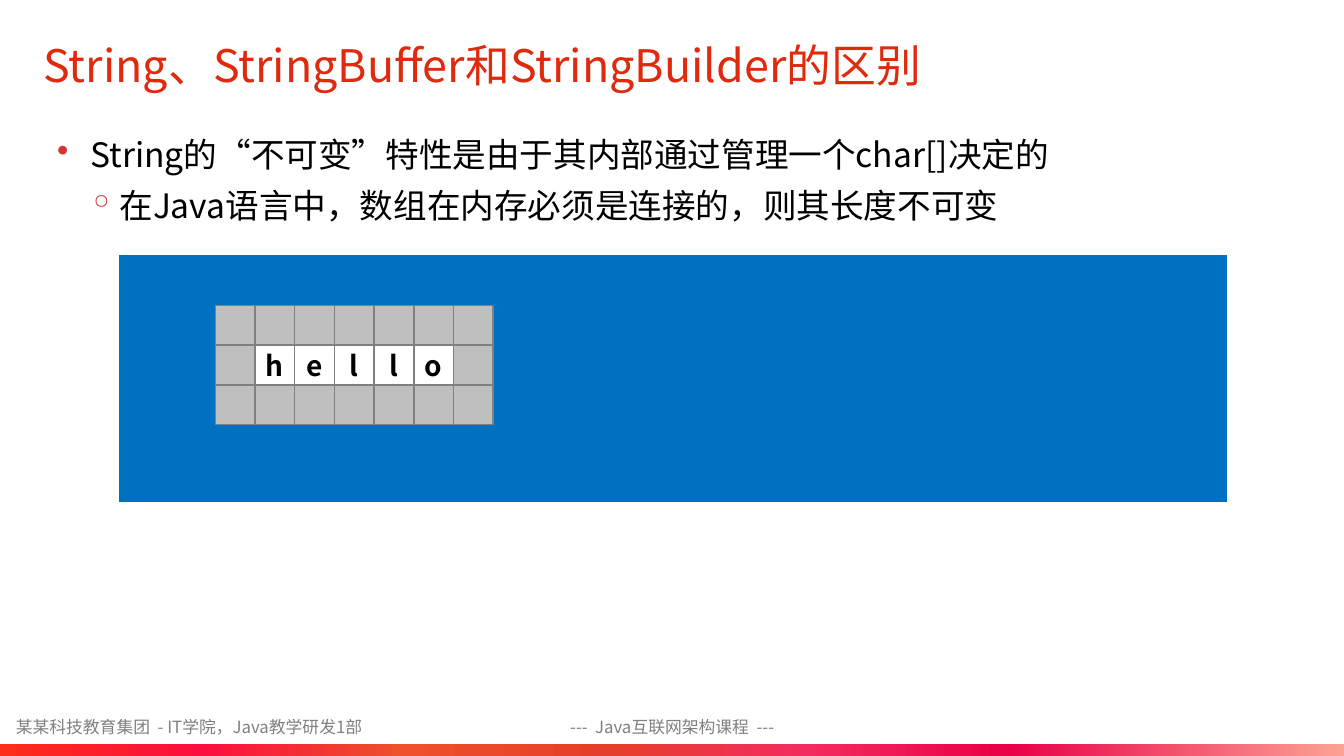
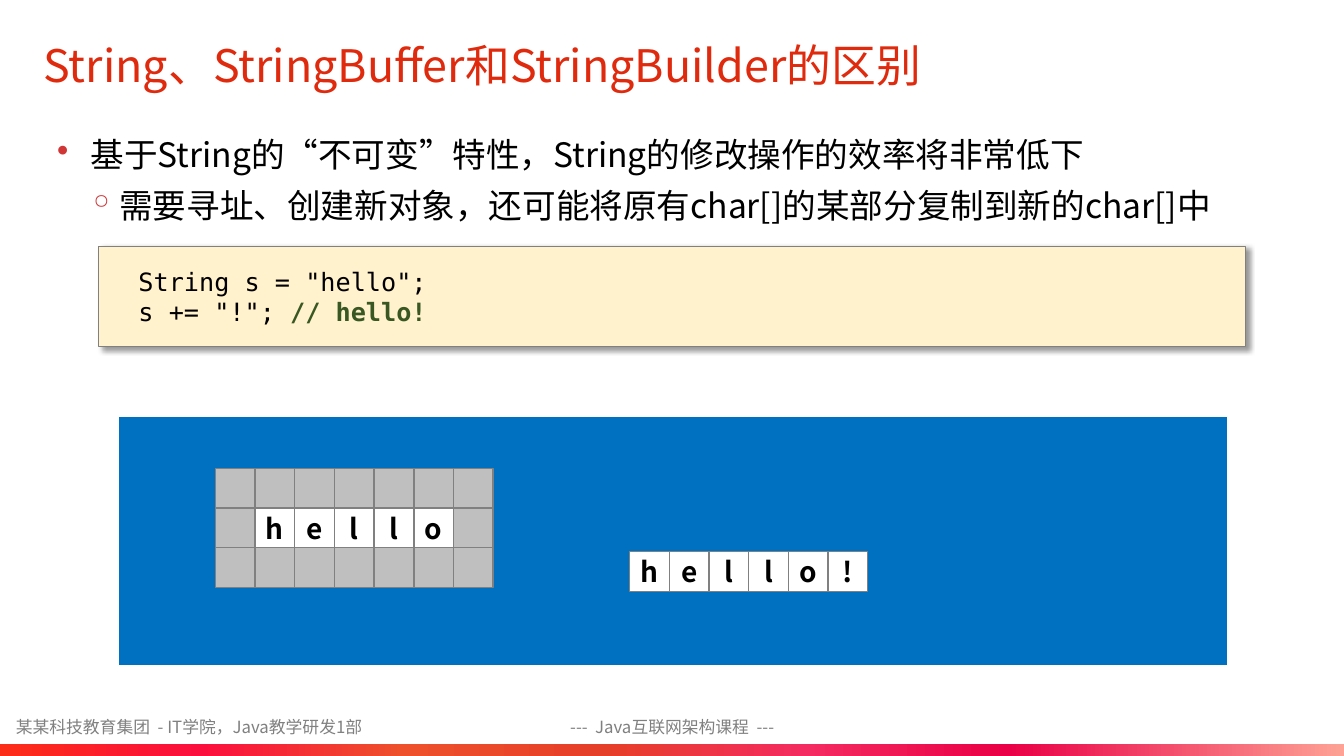
from lxml import etree
from pptx import Presentation
from pptx.dml.color import RGBColor
from pptx.enum.shapes import MSO_SHAPE
from pptx.enum.text import MSO_ANCHOR, MSO_AUTO_SIZE, PP_ALIGN
from pptx.oxml.ns import qn
from pptx.util import Cm, Pt

RECT = MSO_SHAPE.RECTANGLE
MIDDLE, TOP = MSO_ANCHOR.MIDDLE, MSO_ANCHOR.TOP
LEFT, CENTER, JUSTIFY = PP_ALIGN.LEFT, PP_ALIGN.CENTER, PP_ALIGN.JUSTIFY
NO_FIT = MSO_AUTO_SIZE.NONE

SANS, MONO = "Noto Sans CJK SC", "DejaVu Sans Mono"
COLORS = {
    "title": "DF2A0D", "bullet": "D13637", "text": "000000", "gray": "808080",
    "panel": "0070C0", "white": "FFFFFF", "used": "BFBFBF",
    "code": "FFF2CC", "comment": "385723",
}
BAND_STOPS = {0: "FC2D18", 15: "FB0F3D", 30: "ED502B", 45: "E63F29",
              60: "F42B60", 75: "E90046", 100: "FDA295"}
TITLE = "String、StringBuffer和StringBuilder的区别"
SLIDE_W, SLIDE_H = 33.87, 19.05
CELL = 1  # side of a memory cell, cm
PANEL_LEFT, PANEL_W, PANEL_H = 2.97, 27.97, 6.27


def rgb(name):
    return RGBColor.from_string(COLORS[name])


def sub(parent, tag, **attrs):
    return etree.SubElement(parent, qn(tag), {k: str(v) for k, v in attrs.items()})


def add_text(p, text, size=24, color="text", font=SANS, bold=False):
    r = p.add_run()
    r.text = text
    r.font.size, r.font.bold, r.font.name = Pt(size), bold, font
    r.font.color.rgb = rgb(color)
    sub(r.font._element, "a:ea", typeface=font)


def add_box(s, x, y, w, h, anchor=MIDDLE):
    sp = s.shapes.add_textbox(Cm(x), Cm(y), Cm(w), Cm(h))
    sp.text_frame.word_wrap = True
    sp.text_frame.vertical_anchor = anchor
    return sp


def add_rect(s, x, y, w, h, fill, line=None, width=1):
    sp = s.shapes.add_shape(RECT, Cm(x), Cm(y), Cm(w), Cm(h))
    sp.shadow.inherit = False
    sp.fill.solid()
    sp.fill.fore_color.rgb = rgb(fill)
    if line:
        sp.line.color.rgb = rgb(line)
        sp.line.width = Pt(width)
    else:
        sp.line.fill.background()
    return sp


def add_band(s):
    """Gradient strip along the bottom edge."""
    sp = add_rect(s, 0, 18.75, SLIDE_W, SLIDE_H - 18.75, "white")
    sp.fill.gradient()
    sp.fill.gradient_angle = 0
    stops = sp.element.spPr.find(".//" + qn("a:gsLst"))
    for gs in list(stops):
        stops.remove(gs)
    for pos, color in BAND_STOPS.items():
        sub(sub(stops, "a:gs", pos=pos * 1000), "a:srgbClr", val=color)
    return sp


def add_footer(s, text, x, w, align):
    sp = add_box(s, x, 17.91, w, 0.8)
    p = sp.text_frame.paragraphs[0]
    p.alignment = align
    add_text(p, text, size=12, color="gray")
    return sp


def brand_layout(s):
    """Draw the shared footers and band, then hand them to the layout."""
    parts = [
        add_footer(s, "某某科技教育集团  - IT学院，Java教学研发1部", 0.15, 11.23, LEFT),
        add_footer(s, "---  Java互联网架构课程  ---", 12.57, 8.74, CENTER),
        add_band(s),
    ]
    for sp in parts:
        s.slide_layout.shapes.element.append(sp.element)


def add_title(s):
    sp = s.shapes.title
    sp.left, sp.top, sp.width, sp.height = Cm(0.84), Cm(0.74), Cm(27), Cm(1.8)
    tf = sp.text_frame
    tf.auto_size, tf.vertical_anchor = NO_FIT, MIDDLE
    tf.paragraphs[0].alignment = LEFT
    add_text(tf.paragraphs[0], TITLE, size=32, color="title")


def format_bullet(p, char, margin, hang, before):
    p.alignment, p.line_spacing, p.space_before = JUSTIFY, 1.1, Pt(before)
    pPr = p._p.get_or_add_pPr()
    pPr.set("marL", str(Cm(margin)))
    pPr.set("indent", str(-Cm(hang)))
    sub(sub(pPr, "a:buClr"), "a:srgbClr", val=COLORS["bullet"])
    sub(pPr, "a:buChar", char=char)


def add_points(s, point, detail):
    tf = add_box(s, 1.19, 3.15, 31.5, 2.9, TOP).text_frame
    p = tf.paragraphs[0]
    format_bullet(p, "•", 0.84, 0.84, 10)
    add_text(p, point)
    p = tf.add_paragraph()
    p.level = 1
    format_bullet(p, "◦", 1.57, 0.79, 5)
    add_text(p, detail)


def add_cells(s, x, y, chars):
    """Row of memory cells; a blank stands for one that is in use."""
    for i, char in enumerate(chars):
        used = char == " "
        sp = add_rect(s, x + i * CELL, y, CELL, CELL, "used" if used else "white", "gray")
        if not used:
            tf = sp.text_frame
            tf.margin_left = tf.margin_right = tf.margin_top = tf.margin_bottom = 0
            tf.vertical_anchor = MIDDLE
            tf.paragraphs[0].alignment = CENTER
            add_text(tf.paragraphs[0], char, size=20, bold=True)


def add_memory(s, y):
    """Blue memory panel with "hello" between cells in use."""
    add_rect(s, PANEL_LEFT, y, PANEL_W, PANEL_H, "panel", "white")
    for row, chars in enumerate((" " * 7, " hello ", " " * 7)):
        add_cells(s, PANEL_LEFT + 2.46, y + 1.3 + row * CELL, chars)


def add_code(s, lines):
    """Code box; each line is a pair of code and comment."""
    sp = add_rect(s, 2.49, 6.2, 28.9, 2.54, "code", "gray", 0.5)
    shadow = sub(sp.element.spPr.find(qn("a:effectLst")), "a:outerShdw",
                 blurRad=Pt(4), dist=Pt(3), dir=45 * 60000, algn="tl", rotWithShape=0)
    sub(sub(shadow, "a:srgbClr", val="000000"), "a:alpha", val=40000)
    tf = sp.text_frame
    tf.margin_left, tf.vertical_anchor = Cm(1), MIDDLE
    for i, (code, comment) in enumerate(lines):
        p = tf.add_paragraph() if i else tf.paragraphs[0]
        p.alignment = LEFT
        add_text(p, code, size=18, font=MONO)
        if comment:
            add_text(p, comment, size=18, font=MONO, color="comment", bold=True)


def main():
    prs = Presentation()
    prs.slide_width, prs.slide_height = Cm(SLIDE_W), Cm(SLIDE_H)
    layout = prs.slide_layouts[5]

    # Slide 1: why a String cannot change
    s = prs.slides.add_slide(layout)
    brand_layout(s)
    add_title(s)
    add_points(s, "String的“不可变”特性是由于其内部通过管理一个char[]决定的",
               "在Java语言中，数组在内存必须是连接的，则其长度不可变")
    add_memory(s, 6.4)

    # Slide 2: the cost of changing a String
    s = prs.slides.add_slide(layout)
    add_title(s)
    add_points(s, "基于String的“不可变”特性，String的修改操作的效率将非常低下",
               "需要寻址、创建新对象，还可能将原有char[]的某部分复制到新的char[]中")
    add_code(s, [('String s = "hello";', ""), ('s += "!"; ', "// hello!")])
    add_memory(s, 10.5)
    add_cells(s, 15.87, 13.9, "hello!")

    prs.save("out.pptx")


if __name__ == "__main__":
    main()
